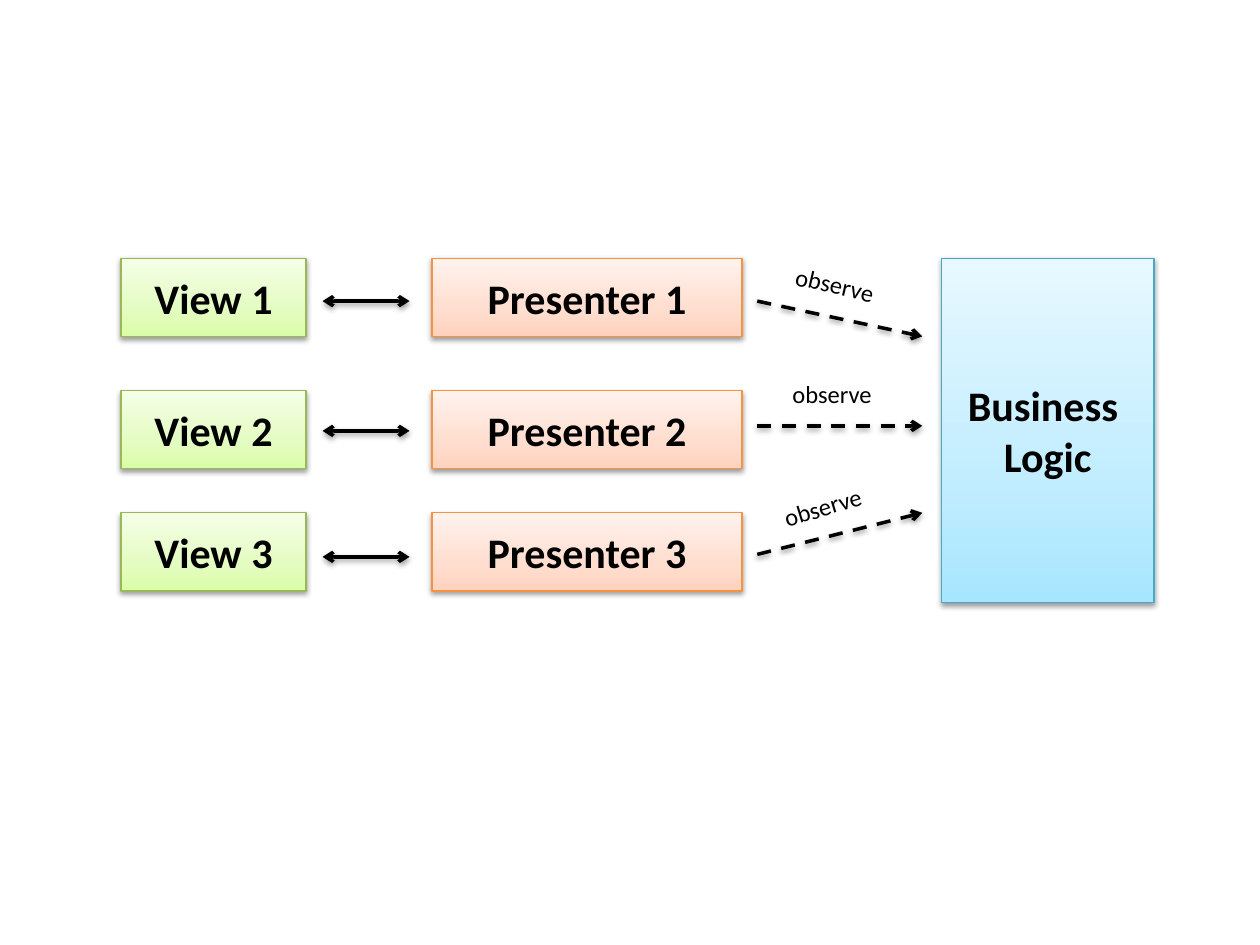
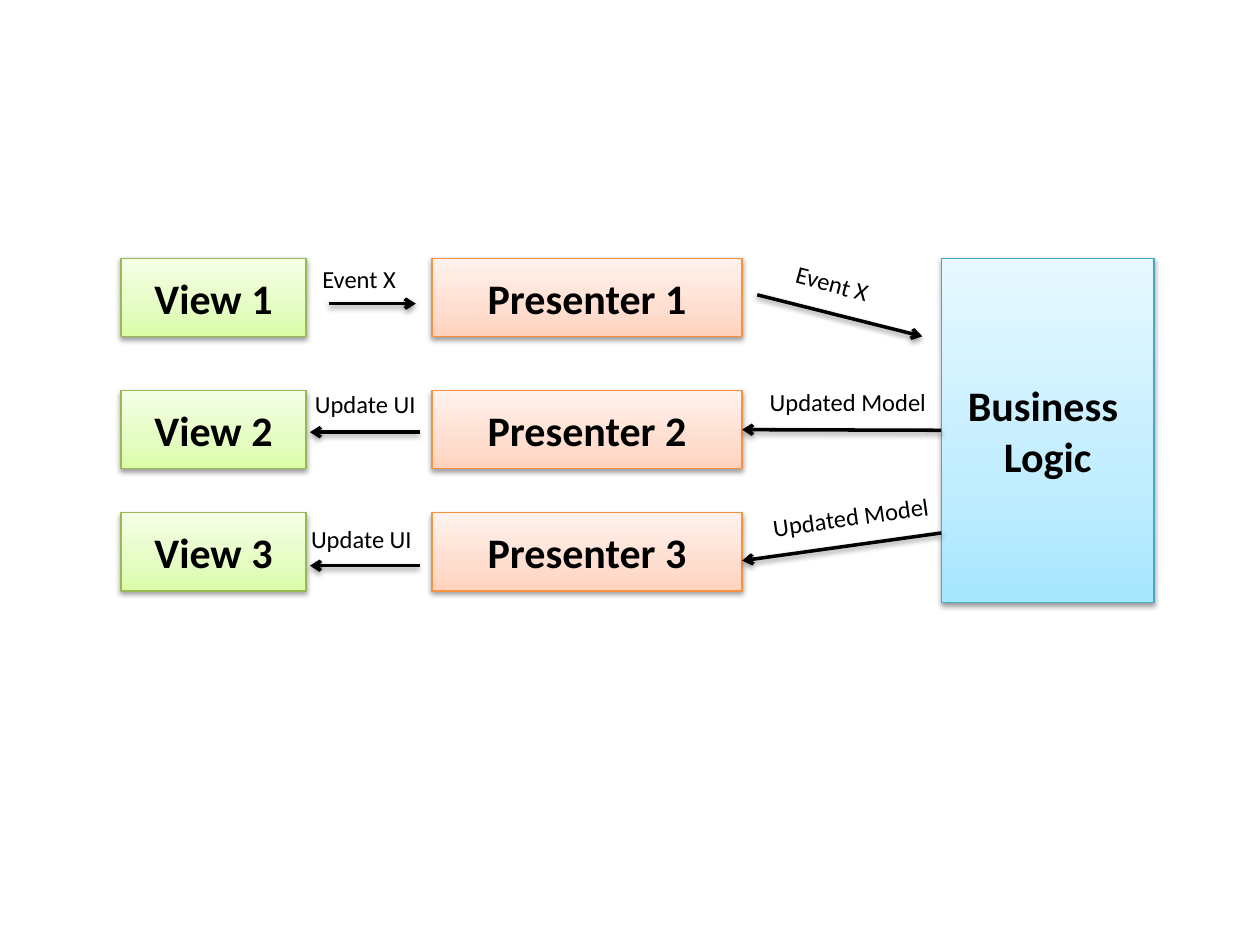
import pptx
import pptx.util
import pptx.dml.color
import pptx.enum.dml
import pptx.enum.shapes
import pptx.enum.text
import pptx.oxml
import pptx.oxml.ns

Inches = pptx.util.Inches
Pt = pptx.util.Pt
RGB = pptx.dml.color.RGBColor
qn = pptx.oxml.ns.qn

# Theme: edge colour, then gradient colours from bottom to top
FONT = "Calibri"
BLACK = RGB(0x00, 0x00, 0x00)
BLUE = (RGB(0x46, 0xAA, 0xC5), RGB(0xA7, 0xE6, 0xFF),
        RGB(0xC1, 0xED, 0xFF), RGB(0xE7, 0xF8, 0xFF))
PEACH = (RGB(0xF6, 0x92, 0x40), RGB(0xFF, 0xD2, 0xBD),
         RGB(0xFF, 0xDE, 0xD0), RGB(0xFF, 0xF2, 0xED))
GREEN = (RGB(0x98, 0xB9, 0x55), RGB(0xDA, 0xFD, 0xA7),
         RGB(0xE4, 0xFC, 0xC2), RGB(0xF5, 0xFF, 0xE7))
STOPS = (0, 35, 100)

# Boxes on both slides
ROWS = (2.05, 3.1, 4.07)
ROW_H = 0.62
LOGIC = (["Business ", "Logic"], (7.47, 2.05, 1.69, 2.73), BLUE)
COLS = [("Presenter", 3.43, 2.46, PEACH), ("View", 0.96, 1.47, GREEN)]

# Arrows: x1, y1, x2, y2. Labels: text, left, top, width, turn
OBSERVE = {
    "dashed": [(6.01, 2.39, 7.32, 2.67), (6.01, 3.38, 7.32, 3.38),
               (6.01, 4.4, 7.32, 4.07)],
    "double": [(2.56, y, 3.25, y) for y in (2.39, 3.42, 4.42)],
    "labels": [("observe", 6.21, 2.12, 1.08, 12.9),
               ("observe", 6.11, 3.82, 1.08, 343.1),
               ("observe", 6.19, 2.96, 1.08, 0)],
}
UPDATE = {
    "single": [(6.01, 2.34, 7.32, 2.67), (2.61, 2.41, 3.3, 2.41),
               (7.47, 4.23, 5.89, 4.45), (3.33, 3.43, 2.46, 3.43),
               (3.33, 4.49, 2.46, 4.49)],
    "joined": [("Logic", "Presenter 2")],
    "labels": [("Event X", 6.21, 2.12, 1.08, 15.1),
               ("Updated Model", 6.01, 3.02, 1.78, 0),
               ("Event X", 2.46, 2.05, 0.96, 0),
               ("Updated Model", 6.03, 3.91, 1.78, 352),
               ("Update UI", 2.4, 3.04, 1.18, 0),
               ("Update UI", 2.37, 4.11, 1.18, 0)],
}


def add_node(root, tag, **attrs):
    node = root.makeelement(qn(tag), {k: str(v) for k, v in attrs.items()})
    root.append(node)
    return node


def add_shade(item):
    props = item._element.spPr
    glow = props.find(qn("a:effectLst"))
    if glow is None:
        glow = add_node(props, "a:effectLst")
    drop = add_node(glow, "a:outerShdw", blurRad=40000, dist=20000,
                    dir=5400000, rotWithShape=0)
    tint = add_node(drop, "a:srgbClr", val=BLACK)
    add_node(tint, "a:alpha", val=38000)


def add_text(frame, lines, size, bold=False, align=None):
    frame.word_wrap = True
    for i, line in enumerate(lines):
        para = frame.paragraphs[0] if i == 0 else frame.add_paragraph()
        para.alignment = align
        run = para.add_run()
        run.text = line
        run.font.name, run.font.size = FONT, Pt(size)
        run.font.bold = bold
        run.font.color.rgb = BLACK


def add_box(slide, lines, place, hues):
    box = slide.shapes.add_shape(pptx.enum.shapes.MSO_SHAPE.RECTANGLE,
                                 *map(Inches, place))
    edge, *tints = hues
    box.fill.gradient()
    box.fill.gradient_angle = 90
    stops = box._element.spPr.find(qn("a:gradFill")).find(qn("a:gsLst"))
    for old in list(stops):
        stops.remove(old)
    for spot, tint in zip(STOPS, tints):
        add_node(add_node(stops, "a:gs", pos=spot * 1000),
                 "a:srgbClr", val=tint)
    box.line.color.rgb = edge
    box.line.width = Pt(0.75)
    box.shadow.inherit = False
    add_shade(box)
    box.text_frame.vertical_anchor = pptx.enum.text.MSO_ANCHOR.MIDDLE
    add_text(box.text_frame, lines, 24, True, pptx.enum.text.PP_ALIGN.CENTER)
    return box


def add_arrow(slide, ends, dashed=False, double=False):
    arrow = slide.shapes.add_connector(
        pptx.enum.shapes.MSO_CONNECTOR.STRAIGHT, *map(Inches, ends))
    arrow.line.color.rgb = BLACK
    arrow.line.width = Pt(2)
    if dashed:
        arrow.line.dash_style = pptx.enum.dml.MSO_LINE.DASH
    edge = arrow._element.spPr.find(qn("a:ln"))
    if double:
        add_node(edge, "a:headEnd", type="arrow")
    add_node(edge, "a:tailEnd", type="arrow")
    add_shade(arrow)
    return arrow


def add_label(slide, text, left, top, width, turn):
    label = slide.shapes.add_textbox(*map(Inches, (left, top, width, 0.34)))
    label.rotation = turn
    add_text(label.text_frame, [text], 14)
    label.text_frame.auto_size = pptx.enum.text.MSO_AUTO_SIZE.SHAPE_TO_FIT_TEXT


def add_flow(deck, flow):
    slide = deck.slides.add_slide(deck.slide_layouts[6])
    # Boxes
    boxes = {"Logic": add_box(slide, *LOGIC)}
    for name, left, width, hues in COLS:
        for i, top in enumerate(ROWS, 1):
            text = f"{name} {i}"
            boxes[text] = add_box(slide, [text], (left, top, width, ROW_H), hues)
    # Arrows
    for kind in ("single", "dashed", "double"):
        for ends in flow.get(kind, []):
            add_arrow(slide, ends, kind == "dashed", kind == "double")
    for start, end in flow.get("joined", []):
        arrow = add_arrow(slide, (0, 0, 0, 0))
        arrow.begin_connect(boxes[start], 1)
        arrow.end_connect(boxes[end], 3)
    # Labels
    for label in flow["labels"]:
        add_label(slide, *label)


def main():
    deck = pptx.Presentation()
    deck.slide_width, deck.slide_height = Inches(10), Inches(7.5)
    for flow in (OBSERVE, UPDATE):
        add_flow(deck, flow)
    deck.save("out.pptx")


if __name__ == "__main__":
    main()
